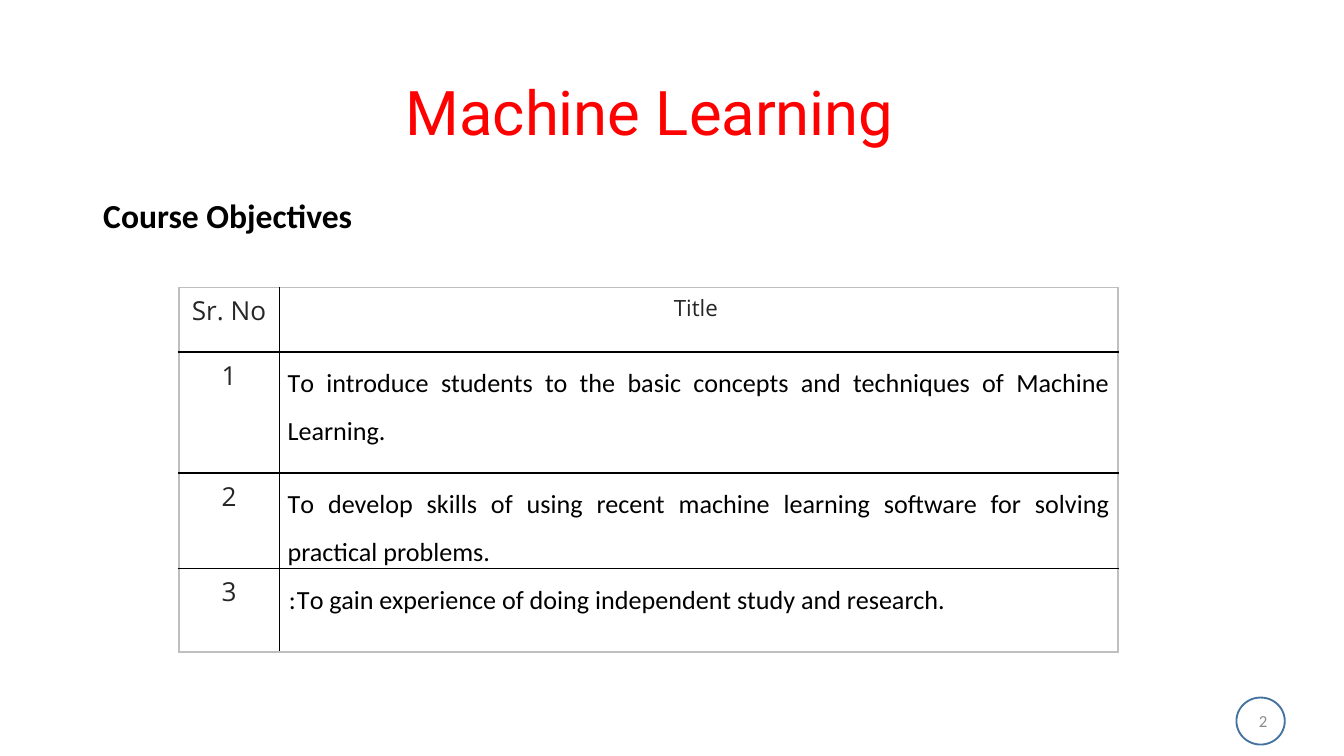
from lxml import etree
from pptx import Presentation
from pptx.dml.color import RGBColor
from pptx.enum.shapes import MSO_SHAPE
from pptx.enum.text import MSO_ANCHOR, PP_ALIGN
from pptx.oxml.ns import qn
from pptx.util import Inches, Pt

LEFT, CENTER, RIGHT, JUSTIFY = PP_ALIGN.LEFT, PP_ALIGN.CENTER, PP_ALIGN.RIGHT, PP_ALIGN.JUSTIFY
TOP, MIDDLE, BOTTOM = MSO_ANCHOR.TOP, MSO_ANCHOR.MIDDLE, MSO_ANCHOR.BOTTOM
OVAL = MSO_SHAPE.OVAL

BLACK, GRAPHITE, OUTER_BORDER = "000000", "262626", "BFBFBF"
PAGE_WIDTH = 10
COLUMN_WIDTHS = [0.75, 6.24]
ROW_HEIGHTS = [0.48, 0.9, 0.71, 0.62]

# Each objective: tightly spaced opening, remainder, side margin of its cell.
OBJECTIVES = [
    ("T", "o introduce students to the basic concepts and techniques of Machine Learning.", 0.06),
    ("T", "o develop skills of using recent machine learning software for solving "
          "practical problems.", 0.06),
    (": T", "o gain experience of doing independent study and research.", 0.07),
]


def color(hex_text):
    return RGBColor.from_string(hex_text)


class SlideBuilder:
    def __init__(self, page):
        self.page = page

    def style(self, span, size, font, ink, bold=False):
        span.font.size = Pt(size)
        span.font.name = font
        span.font.bold = bold
        span.font.color.rgb = color(ink)

    def text(self, words, area, size, font, ink, align=LEFT, anchor=TOP,
             bold=False, wrap=True, margins=(0.1, 0.05), line_spacing=1.0):
        box = self.page.shapes.add_textbox(*map(Inches, area))
        frame = box.text_frame
        frame.text = words
        frame.word_wrap = wrap
        frame.vertical_anchor = anchor
        frame.margin_left = frame.margin_right = Inches(margins[0])
        frame.margin_top = frame.margin_bottom = Inches(margins[1])
        para = frame.paragraphs[0]
        para.alignment = align
        para.line_spacing = line_spacing
        self.style(para.runs[0], size, font, ink, bold)

    def ring(self, area, ink):
        shape = self.page.shapes.add_shape(OVAL, *map(Inches, area))
        shape.shadow.inherit = False
        shape.fill.background()
        shape.line.color.rgb = color(ink)
        shape.line.width = Pt(1)

    def table(self, left, top, widths, heights):
        frame = self.page.shapes.add_table(
            len(heights), len(widths), Inches(left), Inches(top),
            Inches(sum(widths)), Inches(sum(heights)))
        table = frame.table
        table.first_row = table.horz_banding = False
        for column, width in zip(table.columns, widths):
            column.width = Inches(width)
        for row, height in zip(table.rows, heights):
            row.height = Inches(height)
        last_row, last_column = len(heights) - 1, len(widths) - 1
        for r in range(len(heights)):
            for c in range(len(widths)):
                cell = table.cell(r, c)
                cell.fill.background()
                self.borders(cell, {"L": c == 0, "R": c == last_column,
                                    "T": r == 0, "B": r == last_row})
        return table

    def borders(self, cell, outer_sides):
        """Draw the four borders; outer_sides tells which lie on the table's edge."""
        properties = cell._tc.get_or_add_tcPr()
        for index, (side, is_outer) in enumerate(outer_sides.items()):
            line = etree.Element(qn("a:ln" + side), w=str(Pt(1)))
            fill = etree.SubElement(line, qn("a:solidFill"))
            etree.SubElement(fill, qn("a:srgbClr"), val=OUTER_BORDER if is_outer else BLACK)
            properties.insert(index, line)

    def cell_text(self, cell, parts, size, font, ink, align, line_spacing, margin=0.06):
        """Fill a cell with (words, letter spacing in points) parts."""
        cell.margin_left = cell.margin_right = Inches(margin)
        cell.margin_top = cell.margin_bottom = 0
        para = cell.text_frame.paragraphs[0]
        para.alignment = align
        para.line_spacing = line_spacing
        for words, spacing in parts:
            span = para.add_run()
            span.text = words
            self.style(span, size, font, ink)
            if spacing:
                span._r.get_or_add_rPr().set("spc", str(round(spacing * 100)))


def main():
    deck = Presentation()
    deck.slide_width, deck.slide_height = Inches(PAGE_WIDTH), Inches(PAGE_WIDTH * 9 / 16)
    builder = SlideBuilder(deck.slides.add_slide(deck.slide_layouts[6]))

    builder.text("Machine Learning", (1.25, 0.56, 7.17, 0.59), 33, "Roboto", "FF0000",
                 CENTER, BOTTOM, margins=(0.07, 0.04), line_spacing=0.9)
    builder.text("2", (7.25, 5.21, 2.25, 0.3), 9, "Calibri", "8C8C8C",
                 RIGHT, MIDDLE, margins=(0.07, 0.04))
    builder.ring((9.2, 5.19, 0.36, 0.35), "43739E")
    builder.text("Course Objectives", (0.67, 1.4, 2.13, 1.01), 18, "Calibri", BLACK,
                 bold=True, wrap=False)

    table = builder.table(1.33, 2.14, COLUMN_WIDTHS, ROW_HEIGHTS)
    for column, (heading, size) in enumerate([("Sr. No", 14), ("Title ", 12)]):
        builder.cell_text(table.cell(0, column), [(heading, 0)], size,
                          "Open Sans", GRAPHITE, CENTER, 1.15)
    for number, (opening, remainder, margin) in enumerate(OBJECTIVES, start=1):
        builder.cell_text(table.cell(number, 0), [(str(number), 0)], 14,
                          "Open Sans", GRAPHITE, CENTER, 1.15)
        builder.cell_text(table.cell(number, 1), [(opening, -1.3), (remainder, 0)], 14,
                          "Calibri", BLACK, JUSTIFY, 1.5, margin)

    deck.save("out.pptx")


if __name__ == "__main__":
    main()
